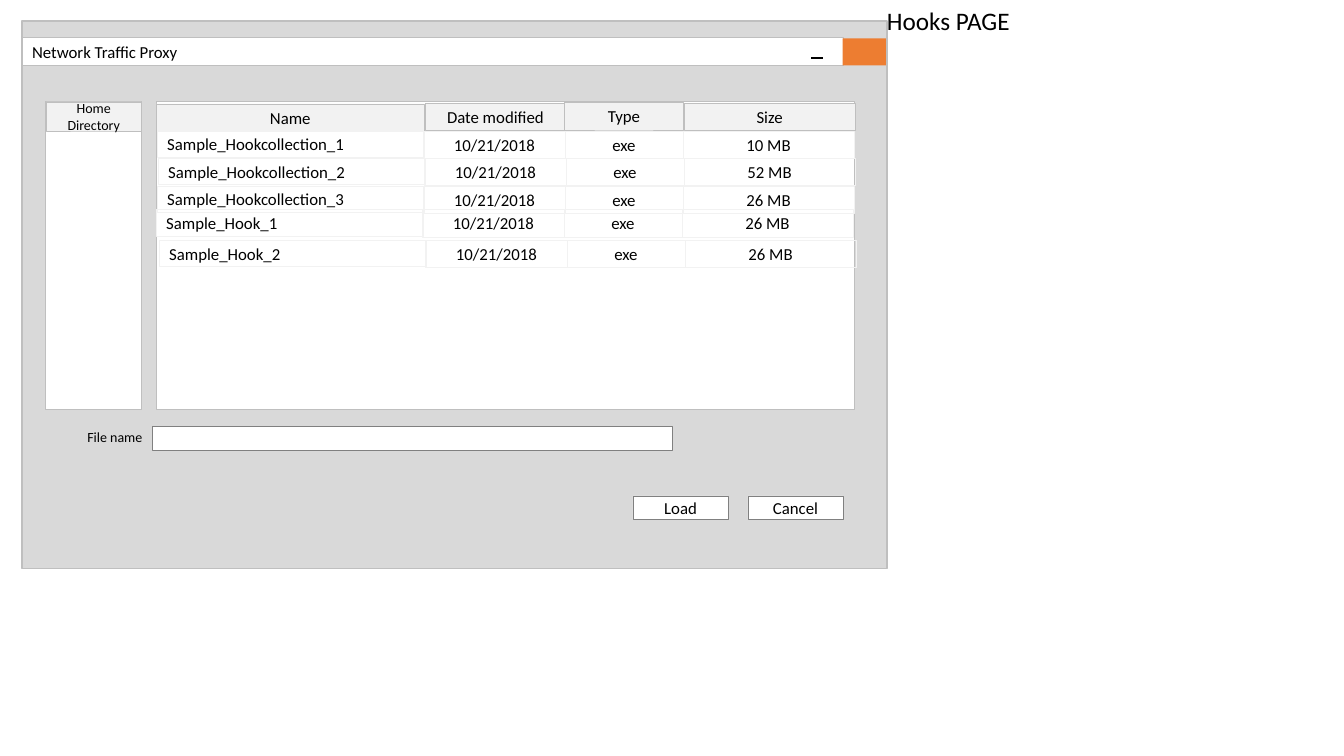
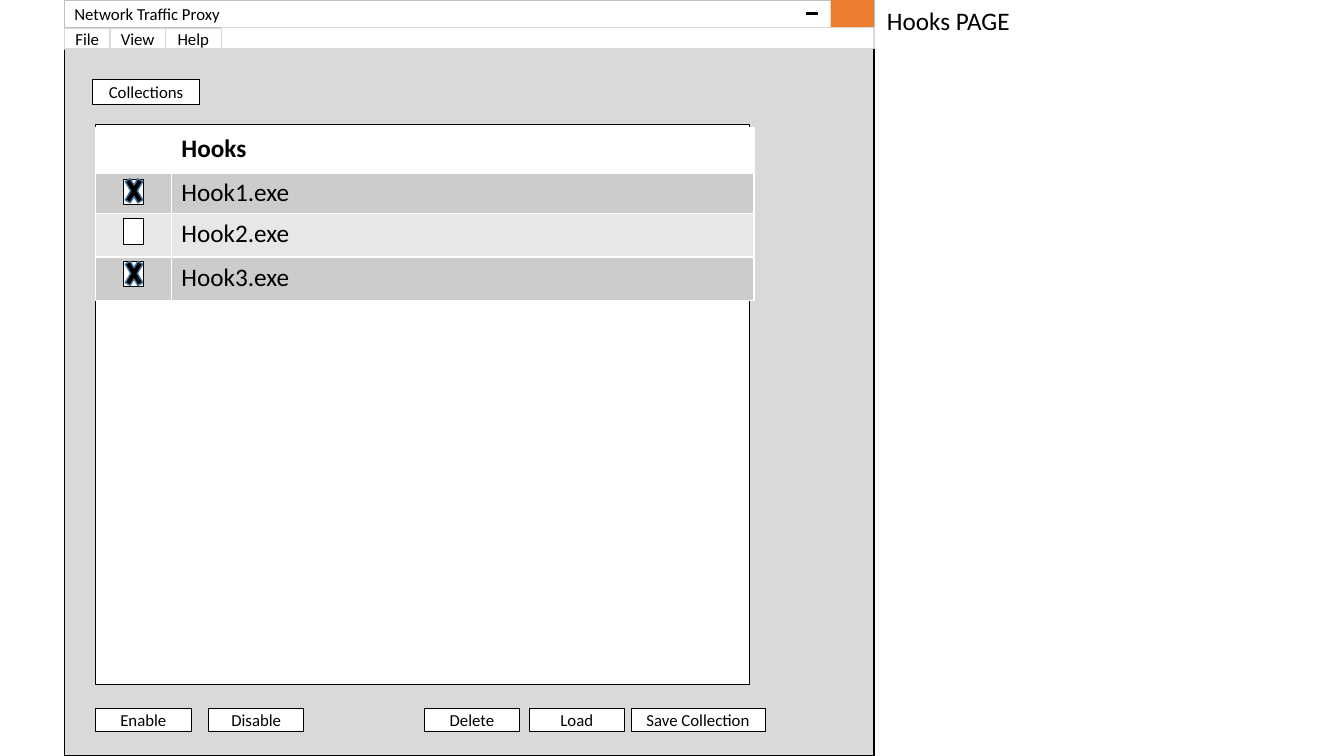
from dataclasses import dataclass
from typing import NamedTuple

from lxml.etree import SubElement
from pptx import Presentation
from pptx.dml.color import RGBColor
from pptx.enum.shapes import MSO_SHAPE
from pptx.enum.text import MSO_ANCHOR, MSO_AUTO_SIZE, PP_ALIGN
from pptx.oxml.ns import qn
from pptx.shapes.group import GroupShape
from pptx.slide import Slide
from pptx.table import _Cell
from pptx.text.text import TextFrame
from pptx.util import Emu, Pt

# The slide is a grid of 1333.33 columns by 750 rows of square cells
WIDTH, HEIGHT = Emu(12192000), Emu(6858000)
ROWS = 750
UNIT = HEIGHT / ROWS


@dataclass(frozen=True)
class Theme:
    font: str = "Calibri"
    ink: str = "000000"
    paper: str = "FFFFFF"
    body: str = "D9D9D9"
    edge: str = "BFBFBF"
    pale: str = "F2F2F2"
    gray: str = "808080"
    close: str = "ED7D31"
    mark: str = "43739E"
    dark: str = "CCCCCC"
    light: str = "E7E7E7"
    big: float = 18
    mid: float = 12
    small: float = 10


THEME = Theme()


class Area(NamedTuple):
    """Left, top, width and height in grid cells."""
    x: float
    y: float
    w: float
    h: float

    def emu(self) -> list[Emu]:
        return [Emu(round(n * UNIT)) for n in self]


class Look(NamedTuple):
    fill: str | None
    line: str | None = None
    width: float = 0.5
    size: float = THEME.mid
    align: PP_ALIGN = PP_ALIGN.CENTER
    form: MSO_SHAPE = MSO_SHAPE.RECTANGLE


class Part(NamedTuple):
    area: Area
    text: str


class Column(NamedTuple):
    x: float
    w: float
    h: float
    align: PP_ALIGN


class File(NamedTuple):
    y: float
    shift: float
    cells: tuple[str, str, str, str]


# Looks shared by both slides
BAR = Look(THEME.paper, THEME.edge, 1, align=PP_ALIGN.LEFT)
CLOSE = Look(THEME.close)
DASH = Look(THEME.ink, THEME.ink, 1, form=MSO_SHAPE.MATH_MINUS)
PANE = Look(THEME.paper, THEME.edge)
HEAD = Look(THEME.pale, THEME.edge, 0.25)
FIELD = Look(THEME.paper, THEME.gray)
FRAME = Look(THEME.paper, THEME.ink)
MENU = Look(THEME.paper, THEME.body, 1)
CROSS = Look(THEME.ink, THEME.mark, 1, form=MSO_SHAPE.MATH_MULTIPLY)


def rgb(code: str) -> RGBColor:
    return RGBColor.from_string(code)


def write(frame: TextFrame, text: str, size: float,
          align: PP_ALIGN = PP_ALIGN.LEFT, bold: bool = False) -> None:
    para = frame.paragraphs[0]
    para.alignment = align
    run = para.add_run()
    run.text = text
    run.font.name = THEME.font
    run.font.size = Pt(size)
    run.font.bold = bold
    run.font.color.rgb = rgb(THEME.ink)


def box(host: Slide | GroupShape, area: Area, look: Look, text: str = "") -> None:
    shape = host.shapes.add_shape(look.form, *area.emu())
    shape.shadow.inherit = False
    if look.fill:
        shape.fill.solid()
        shape.fill.fore_color.rgb = rgb(look.fill)
    else:
        shape.fill.background()
    if look.line:
        shape.line.color.rgb = rgb(look.line)
        shape.line.width = Pt(look.width)
    else:
        shape.line.fill.background()
    if text:
        frame = shape.text_frame
        frame.word_wrap = True
        frame.vertical_anchor = MSO_ANCHOR.MIDDLE
        write(frame, text, look.size, look.align)


def boxes(page: Slide, parts: list[Part], look: Look) -> None:
    for part in parts:
        box(page, part.area, look, part.text)


def label(page: Slide, area: Area, text: str, size: float,
          align: PP_ALIGN = PP_ALIGN.LEFT) -> None:
    frame = page.shapes.add_textbox(*area.emu()).text_frame
    frame.word_wrap = True
    frame.auto_size = MSO_AUTO_SIZE.SHAPE_TO_FIT_TEXT
    write(frame, text, size, align)


def caption(page: Slide) -> None:
    label(page, Area(870, 0, 358, 40), "Hooks PAGE", THEME.big)


def top_bar(page: Slide, bar: Area, close: Area, dash: Area) -> None:
    box(page, bar, BAR, "Network Traffic Proxy")
    box(page, close, CLOSE)
    box(page, dash, DASH)


def border(cell: _Cell, base: float) -> None:
    props = cell._tc.get_or_add_tcPr()
    sides = (("a:lnL", 1), ("a:lnR", 1), ("a:lnT", 1), ("a:lnB", base))
    for spot, (tag, width) in enumerate(sides):
        line = SubElement(props, qn(tag), w=str(Pt(width)))
        fill = SubElement(line, qn("a:solidFill"))
        SubElement(fill, qn("a:srgbClr"), val=THEME.paper)
        props.insert(spot, line)


# Slide 1: the dialog that loads files
COLUMNS = (
    Column(156, 265, 26, PP_ALIGN.LEFT),
    Column(420, 141, 27, PP_ALIGN.CENTER),
    Column(560.5, 117, 27, PP_ALIGN.CENTER),
    Column(677.5, 170, 27, PP_ALIGN.CENTER),
)
DATE = "10/21/2018"
FILES = (
    File(130, 0, ("Sample_Hookcollection_1", DATE, "exe", "10 MB")),
    File(157, 1, ("Sample_Hookcollection_2", DATE, "exe", "52 MB")),
    File(184.5, 0, ("Sample_Hookcollection_3", DATE, "exe", "26 MB")),
    File(208, -1, ("Sample_Hook_1", DATE, "exe", "26 MB")),
    File(238.5, 2, ("Sample_Hook_2", DATE, "exe", "26 MB")),
)


def file_row(page: Slide, file: File) -> None:
    group = page.shapes.add_group_shape()
    for col, text in zip(COLUMNS, file.cells):
        look = Look(None, THEME.pale, 0.25, align=col.align)
        box(group, Area(col.x + file.shift, file.y, col.w, col.h), look, text)


def load_page(page: Slide) -> None:
    caption(page)
    box(page, Area(22, 21, 858, 543), Look(THEME.body, THEME.edge, 1))
    top_bar(page, Area(22, 37, 815, 28), Area(836, 38, 43, 27),
            Area(803, 55, 15, 5))

    # File list
    box(page, Area(155, 101, 693, 305), PANE)
    boxes(page, [
        Part(Area(155, 103, 266, 27), "Name"),
        Part(Area(422, 102.5, 139, 27), "Date modified"),
        Part(Area(560, 101.5, 118, 27.5), "Type"),
        Part(Area(679, 102.5, 169, 27), "Size"),
    ], HEAD)
    for file in FILES:
        file_row(page, file)

    # Folder list
    box(page, Area(45, 101, 95, 305), PANE)
    box(page, Area(46, 101, 94, 29), HEAD._replace(size=THEME.small),
        "Home Directory")

    # File name and buttons
    box(page, Area(151, 423, 516, 24), FIELD)
    label(page, Area(66, 420, 85, 27), "File name", THEME.small, PP_ALIGN.RIGHT)
    boxes(page, [Part(Area(628, 492, 94.5, 23), "Load"),
                 Part(Area(742, 492, 94.5, 23), "Cancel")], FIELD)


# Slide 2: the main window with its hooks
def hook_table(page: Slide) -> None:
    lines = ("Hooks", "Hook1.exe", "Hook2.exe", "Hook3.exe")
    fills = (THEME.paper, THEME.dark, THEME.light, THEME.dark)
    wide, high = (75, 578), (44, 41, 43, 43)
    area = Area(95, 127, sum(wide), sum(high))
    table = page.shapes.add_table(len(lines), len(wide), *area.emu()).table
    table.horz_banding = False
    for col, width in zip(table.columns, wide):
        col.width = Emu(round(width * UNIT))
    for spot, (row, text, fill) in enumerate(zip(table.rows, lines, fills)):
        row.height = Emu(round(high[spot] * UNIT))
        for cell in row.cells:
            cell.fill.solid()
            cell.fill.fore_color.rgb = rgb(fill)
            border(cell, 1 if spot else 3)
        write(row.cells[1].text_frame, text, THEME.big, bold=spot == 0)


def hooks_page(page: Slide) -> None:
    box(page, Area(64, 48, 803, 702), Look(THEME.body, THEME.ink, 1))
    box(page, Area(95, 123, 648, 556), FRAME)
    caption(page)

    # Buttons
    box(page, Area(92, 79, 106, 25), FRAME, "Collections")
    row = ((95, 94.5, "Enable"), (207, 94.5, "Disable"), (421, 94.5, "Delete"),
           (525, 94.5, "Load"), (626, 133, "Save Collection"))
    boxes(page, [Part(Area(x, 702.5, w, 23), text) for x, w, text in row], FRAME)

    # Hooks with their check boxes
    hook_table(page)
    for y in (178, 217, 259):
        box(page, Area(122, y, 20, 25), FRAME)
    for y in (169, 251):
        box(page, Area(121, y, 24, 40.5), CROSS)

    # Title and menu
    top_bar(page, Area(64, 0, 803, 28), Area(824, 0, 43, 27),
            Area(798, 11, 15, 5))
    boxes(page, [
        Part(Area(64, 28, 45, 20.5), "File"),
        Part(Area(109, 28, 55, 20.5), "View"),
        Part(Area(164, 28, 55.5, 20.5), "Help"),
        Part(Area(220, 27.5, 647, 20.5), ""),
    ], MENU)


def main() -> None:
    deck = Presentation()
    deck.slide_width, deck.slide_height = WIDTH, HEIGHT
    blank = deck.slide_layouts[6]
    for draw in (load_page, hooks_page):
        draw(deck.slides.add_slide(blank))
    deck.save("out.pptx")


if __name__ == "__main__":
    main()
